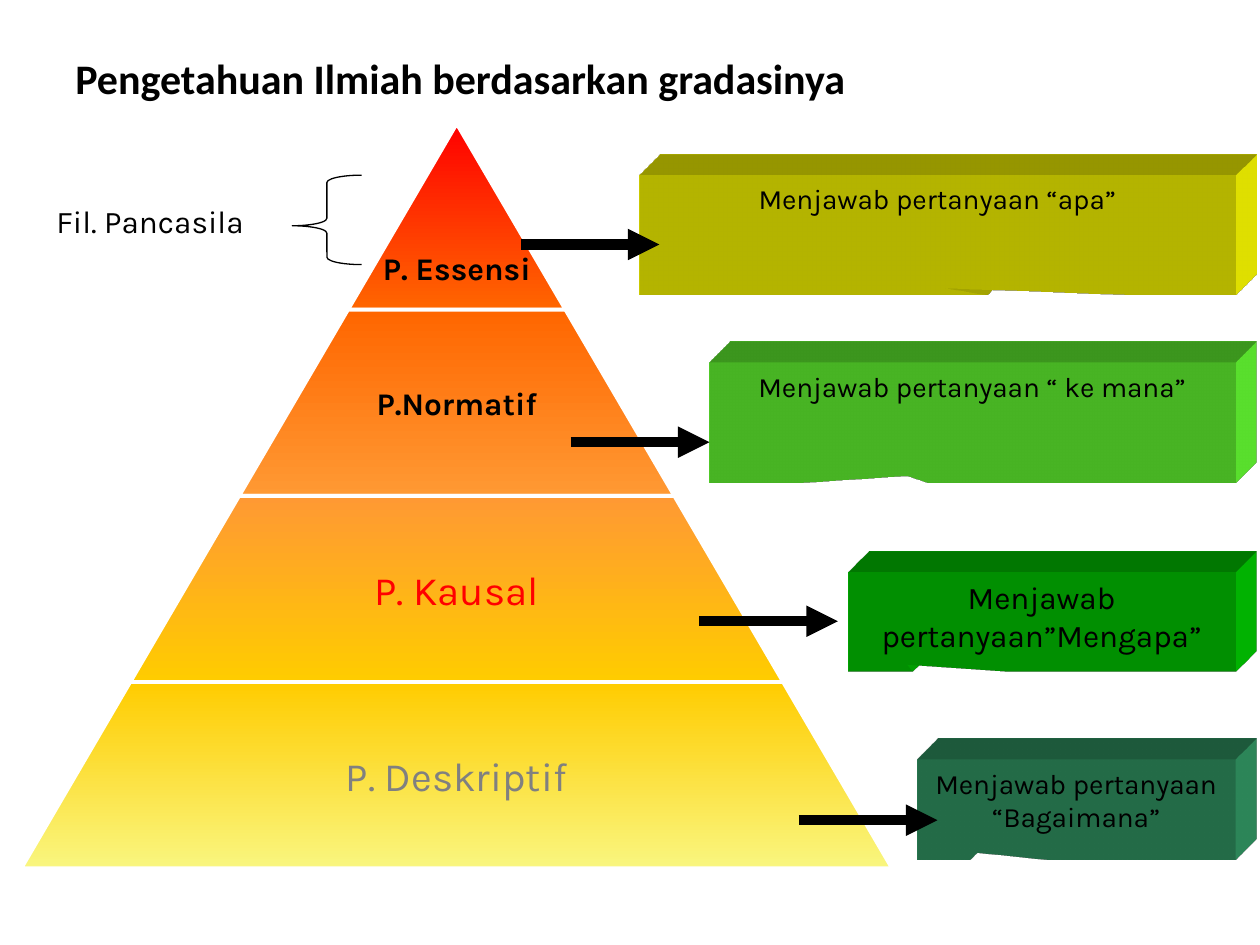
from lxml import etree
from pptx import Presentation
from pptx import util as u
from pptx.dml.color import RGBColor
from pptx.enum import shapes, text
from pptx.oxml import ns, parse_xml

Pt = u.Pt
BLACK = RGBColor(0x00, 0x00, 0x00)
WHITE = RGBColor(0xFF, 0xFF, 0xFF)
RED = RGBColor(0xFF, 0x00, 0x00)
GRAY = RGBColor(0x80, 0x80, 0x80)
DARK_ORANGE = RGBColor(0xFF, 0x66, 0x00)
ORANGE = RGBColor(0xFF, 0x99, 0x33)
GOLD = RGBColor(0xFF, 0xCC, 0x00)
PALE_YELLOW = RGBColor(0xF9, 0xF6, 0x7F)
YELLOW = RGBColor(0xFF, 0xFF, 0x00)
LIME = RGBColor(0x66, 0xFF, 0x33)
GREEN = RGBColor(0x00, 0xCC, 0x00)
SEA_GREEN = RGBColor(0x33, 0x99, 0x66)

LEVELS = [
    ("P. Essensi", 18, True, BLACK, RED, DARK_ORANGE),
    ("P.Normatif", 18, True, BLACK, DARK_ORANGE, ORANGE),
    ("P. Kausal", 23, False, RED, ORANGE, GOLD),
    ("P. Deskriptif", 23, False, GRAY, GOLD, PALE_YELLOW),
]
CALLOUT_RIGHT = 705.8
CALLOUTS = [
    ("Menjawab pertanyaan “Bagaimana”", 16, SEA_GREEN, 524.2, 434.2, 56.9, (-0.314, 0.427)),
    ("Menjawab pertanyaan”Mengapa”", 18, GREEN, 484.6, 326.9, 56.9, (-0.347, 0.427)),
    ("Menjawab pertanyaan “ ke mana”", 16, LIME, 405.4, 207.4, 68.4, (-0.124, 0.44)),
    ("Menjawab pertanyaan “apa”", 16, YELLOW, 365.6, 100.1, 68.4, (0.013, 0.443)),
]
ARROW_LENGTH = 79.2
ARROWS = [(399.6, 355), (456.5, 468.7), (326.2, 252.7), (297.6, 139.7)]


def write_text(shape, content, size, color=BLACK, bold=False, font="Karla",
               align=text.PP_ALIGN.CENTER, anchor=text.MSO_ANCHOR.MIDDLE,
               wrap=True, margins=None, line_spacing=None):
    frame = shape.text_frame
    frame.word_wrap = wrap
    frame.vertical_anchor = anchor
    if margins:
        (frame.margin_left, frame.margin_top,
         frame.margin_right, frame.margin_bottom) = map(Pt, margins)
    paragraph = frame.paragraphs[0]
    paragraph.alignment = align
    paragraph.line_spacing = line_spacing
    run = paragraph.add_run()
    run.text = content
    run.font.name = font
    run.font.size = Pt(size)
    run.font.bold = bold
    run.font.color.rgb = color


def add_label(slide, content, left, top, width, height, **formatting):
    box = slide.shapes.add_textbox(Pt(left), Pt(top), Pt(width), Pt(height))
    write_text(box, content, align=text.PP_ALIGN.LEFT, **formatting)


def add_pyramid(slide, left, top, width, height):
    center = left + width / 2
    level_height = height / len(LEVELS)
    step = width / 2 / len(LEVELS)
    for index, (label, size, bold, color, upper, lower) in enumerate(LEVELS):
        y = top + index * level_height
        inner, outer = index * step, (index + 1) * step
        corners = [(center - inner, y), (center + inner, y),
                   (center + outer, y + level_height)]
        if index == 0:
            corners.pop(0)
        builder = slide.shapes.build_freeform(Pt(center - outer), Pt(y + level_height))
        builder.add_line_segments([(Pt(x), Pt(corner_y)) for x, corner_y in corners])
        level = builder.convert_to_shape()
        level.shadow.inherit = False
        level.fill.gradient()
        level.fill.gradient_angle = 90
        for stop, stop_color in zip(level.fill.gradient_stops, (lower, upper)):
            stop.color.rgb = stop_color
        level.line.color.rgb = WHITE
        level.line.width = Pt(2.25)
        is_tip = index == 0
        write_text(level, label, size, color, bold, wrap=False,
                   anchor=text.MSO_ANCHOR.BOTTOM if is_tip else text.MSO_ANCHOR.MIDDLE,
                   margins=(0, 0, 0, 13 if is_tip else 0))


def extrude(shape, color):
    namespace = ns.nsdecls("a")
    properties = shape._element.spPr
    properties.append(parse_xml(
        f'<a:scene3d {namespace}><a:camera prst="legacyObliqueTopRight"/>'
        '<a:lightRig rig="legacyFlat3" dir="b"/></a:scene3d>'))
    properties.append(parse_xml(
        f'<a:sp3d {namespace} extrusionH="430200" prstMaterial="legacyMatte">'
        '<a:bevelT w="13500" h="13500" prst="angle"/>'
        '<a:bevelB w="13500" h="13500" prst="angle"/>'
        f'<a:extrusionClr><a:srgbClr val="{color}"/></a:extrusionClr></a:sp3d>'))


def add_callout(slide, content, size, color, left, top, height, tip):
    callout = slide.shapes.add_shape(
        shapes.MSO_SHAPE.RECTANGULAR_CALLOUT,
        Pt(left), Pt(top), Pt(CALLOUT_RIGHT - left), Pt(height))
    callout.adjustments[0], callout.adjustments[1] = tip
    callout.fill.solid()
    callout.fill.fore_color.rgb = color
    callout.line.fill.background()
    callout.shadow.inherit = False
    extrude(callout, color)
    write_text(callout, content, size, anchor=text.MSO_ANCHOR.TOP)


def add_arrow(slide, left, y):
    arrow = slide.shapes.add_connector(
        shapes.MSO_CONNECTOR.STRAIGHT, Pt(left), Pt(y), Pt(left + ARROW_LENGTH), Pt(y))
    arrow.line.color.rgb = BLACK
    arrow.line.width = Pt(6)
    etree.SubElement(arrow.line._get_or_add_ln(), ns.qn("a:tailEnd"), type="triangle")
    etree.SubElement(arrow._element.spPr, ns.qn("a:effectLst"))


def add_brace(slide, left, top, width, height):
    brace = slide.shapes.add_shape(
        shapes.MSO_SHAPE.LEFT_BRACE, Pt(left), Pt(top), Pt(width), Pt(height))
    brace.adjustments[0], brace.adjustments[1] = 0.107, 0.566
    brace.fill.background()
    brace.line.color.rgb = BLACK
    brace.line.width = Pt(0.75)
    brace.shadow.inherit = False


def main():
    presentation = Presentation()
    presentation.slide_width, presentation.slide_height = Pt(720), Pt(540)
    slide = presentation.slides.add_slide(presentation.slide_layouts[6])
    add_label(slide, "Pengetahuan Ilmiah berdasarkan gradasinya", 36, 21.6, 648, 49.7,
              size=24, bold=True, font="Calibri", line_spacing=0.9)
    add_pyramid(slide, 12.2, 70.6, 497.6, 425.5)
    for callout in CALLOUTS:
        add_callout(slide, *callout)
    for arrow in ARROWS:
        add_arrow(slide, *arrow)
    add_label(slide, "Fil. Pancasila", 25.2, 111.6, 139, 29, size=18)
    add_brace(slide, 167, 100.1, 39.6, 51.1)
    presentation.save("out.pptx")


if __name__ == "__main__":
    main()
